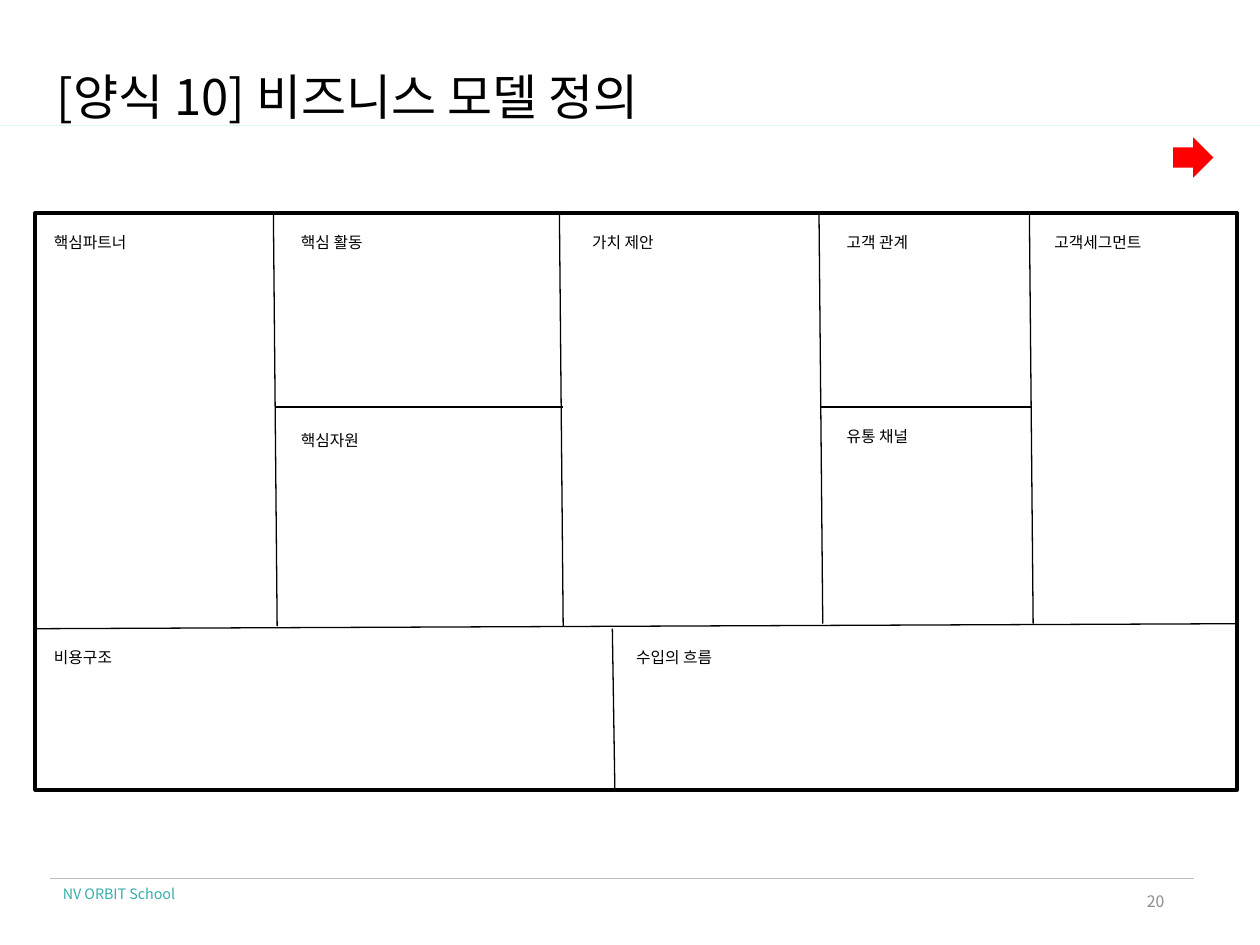
from typing import NamedTuple

import lxml.etree
import pptx
import pptx.dml.color
import pptx.enum.shapes
import pptx.enum.text
import pptx.oxml.ns
import pptx.util

FONT = "Noto Sans CJK KR"
Inches = pptx.util.Inches
Pt = pptx.util.Pt
SHAPE = pptx.enum.shapes.MSO_SHAPE
ALIGN = pptx.enum.text.PP_ALIGN
ANCHOR = pptx.enum.text.MSO_ANCHOR
AUTO = pptx.enum.text.MSO_AUTO_SIZE


class Label(NamedTuple):
    text: str
    left: float
    top: float
    width: float


class Divider(NamedTuple):
    x1: float
    y1: float
    x2: float
    y2: float


LEFT, TOP, WIDTH, HEIGHT = 0.28, 1.69, 9.54, 4.58
RIGHT, BOTTOM = LEFT + WIDTH, TOP + HEIGHT
MIDDLE = 3.23
LEAN = 0.03

DIVIDERS = [
    Divider(LEFT, 4.99, RIGHT, 4.95),
    *(Divider(x, TOP, x + LEAN, y)
      for x, y in ((8.17, 4.95), (6.5, 4.95), (4.44, 4.97), (2.17, 4.97))),
    Divider(6.52, MIDDLE, 8.19, MIDDLE),
    Divider(2.18, MIDDLE, 4.47, MIDDLE),
    Divider(4.86, 4.99, 4.88, BOTTOM),
]

LABELS = [
    Label("고객세그먼트", 8.27, 1.8, 0.96),
    Label("고객 관계", 6.62, 1.8, 0.75),
    Label("유통 채널", 6.62, 3.34, 0.75),
    Label("가치 제안", 4.6, 1.8, 0.75),
    Label("핵심 활동", 2.29, 1.8, 0.75),
    Label("핵심자원", 2.29, 3.37, 0.71),
    Label("핵심파트너", 0.33, 1.8, 0.83),
    Label("비용구조", 0.33, 5.09, 0.71),
    Label("수입의 흐름", 4.95, 5.09, 0.88),
]


def color(value: str) -> pptx.dml.color.RGBColor:
    return pptx.dml.color.RGBColor.from_string(value)


def style(p, size: float, value: str) -> None:
    for r in p.runs:
        r.font.size = Pt(size)
        r.font.name = FONT
        r.font.color.rgb = color(value)
        ea = lxml.etree.SubElement(r.font._element, pptx.oxml.ns.qn("a:ea"))
        ea.set("typeface", FONT)


def add_text(s, label: Label, height: float = 0.25, size: float = 9,
             value: str = "000000", wrap: bool = False):
    sp = s.shapes.add_textbox(Inches(label.left), Inches(label.top),
                              Inches(label.width), Inches(height))
    tf = sp.text_frame
    tf.text = label.text
    tf.word_wrap = wrap
    style(tf.paragraphs[0], size, value)
    return tf


def add_line(s, d: Divider, width: float = 0.75, value: str = "000000") -> None:
    sp = s.shapes.add_connector(pptx.enum.shapes.MSO_CONNECTOR.STRAIGHT,
                                Inches(d.x1), Inches(d.y1), Inches(d.x2), Inches(d.y2))
    sp.line.color.rgb = color(value)
    sp.line.width = Pt(width)
    lxml.etree.SubElement(sp._element.spPr, pptx.oxml.ns.qn("a:effectLst"))


def add_band(s) -> None:
    fb = s.shapes.build_freeform(0, 1.21, scale=Inches(1))
    fb.add_line_segments([(0, 1.23), (10, 1.25), (10, 1.24)])
    fb.move_to(0, 1.2)
    fb.add_line_segments([(0, 1.21), (10, 1.23), (10, 1.22)])
    sp = fb.convert_to_shape()
    sp.shadow.inherit = False
    sp.fill.solid()
    sp.fill.fore_color.rgb = color("01BCB6")
    sp.line.fill.background()


def add_title(s, text: str) -> None:
    sp = s.shapes.title
    sp.left, sp.top, sp.width, sp.height = map(Inches, (0.45, 0.53, 9.03, 0.47))
    tf = sp.text_frame
    tf.text = text
    tf.margin_left = tf.margin_right = tf.margin_top = tf.margin_bottom = 0
    tf.vertical_anchor = ANCHOR.MIDDLE
    tf.auto_size = AUTO.NONE
    tf.paragraphs[0].alignment = ALIGN.LEFT
    style(tf.paragraphs[0], 28, "000000")


def add_footer(s) -> None:
    add_line(s, Divider(0.4, 6.97, 9.48, 6.97), 0.5, "BEBEBE")
    add_text(s, Label("NV ORBIT School", 0.4, 6.98, 1.29), 0.24, 8.2, "34AEAA", True)
    tf = add_text(s, Label("20", 7.06, 6.95, 2.25), 0.4, 9, "8C8C8C", True)
    tf.margin_left = tf.margin_right = Inches(0.07)
    tf.margin_top = tf.margin_bottom = Inches(0.04)
    tf.vertical_anchor = ANCHOR.MIDDLE
    tf.paragraphs[0].alignment = ALIGN.RIGHT


def add_frame(s) -> None:
    sp = s.shapes.add_shape(SHAPE.RECTANGLE, Inches(LEFT), Inches(TOP),
                            Inches(WIDTH), Inches(HEIGHT))
    sp.shadow.inherit = False
    sp.fill.background()
    sp.line.color.rgb = color("000000")
    sp.line.width = Pt(2)


def add_arrow(s) -> None:
    sp = s.shapes.add_shape(SHAPE.RIGHT_ARROW, Inches(9.31), Inches(1.09),
                            Inches(0.32), Inches(0.32))
    sp.shadow.inherit = False
    sp.fill.solid()
    sp.fill.fore_color.rgb = color("FF0000")
    sp.line.fill.background()


def main() -> None:
    prs = pptx.Presentation()
    prs.slide_width, prs.slide_height = Inches(10), Inches(7.5)
    s = prs.slides.add_slide(prs.slide_layouts[5])
    add_band(s)
    add_footer(s)
    add_title(s, "[양식 10] 비즈니스 모델 정의")
    for divider in DIVIDERS:
        add_line(s, divider)
    for label in LABELS:
        add_text(s, label)
    add_frame(s)
    add_arrow(s)
    prs.save("out.pptx")


if __name__ == "__main__":
    main()
